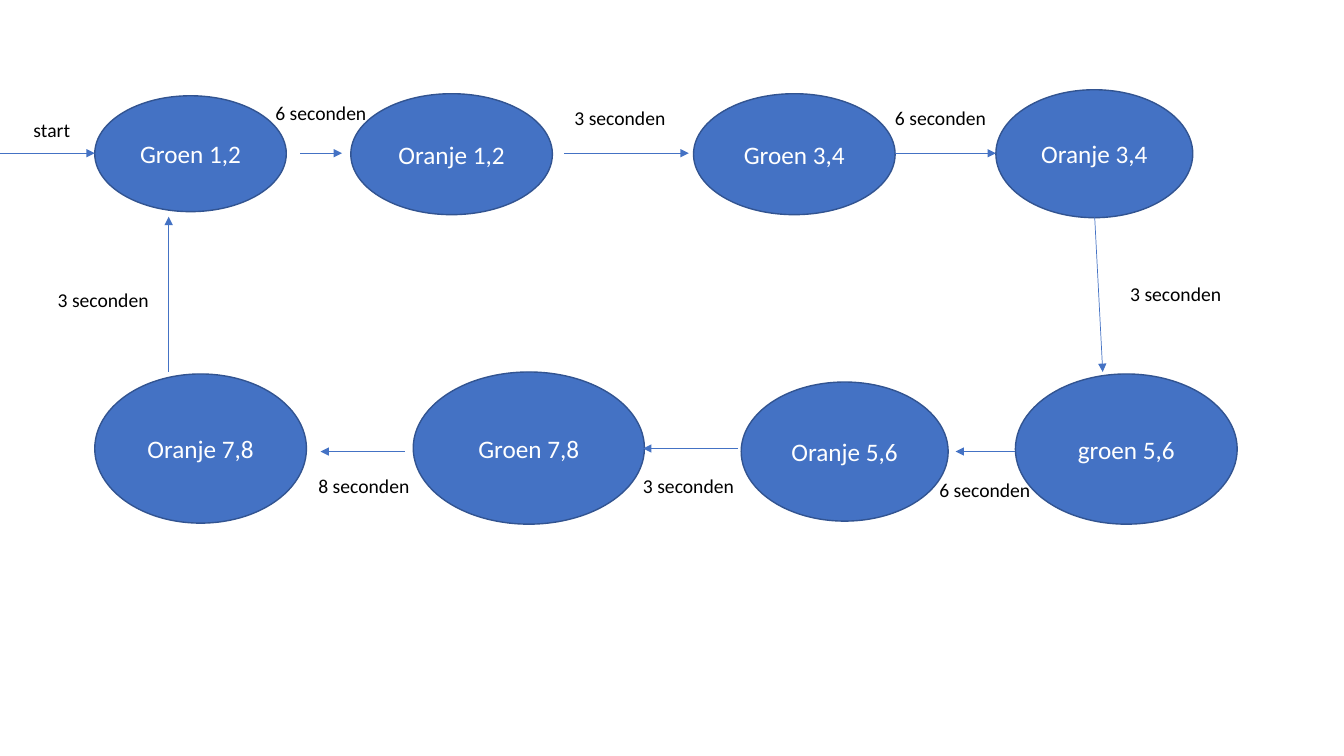
from lxml import etree
from pptx import Presentation
from pptx.dml.color import RGBColor
from pptx.enum.shapes import MSO_CONNECTOR, MSO_SHAPE
from pptx.enum.text import MSO_ANCHOR, MSO_AUTO_SIZE, PP_ALIGN
from pptx.oxml.ns import qn
from pptx.util import Inches, Pt

OVAL, STRAIGHT = MSO_SHAPE.OVAL, MSO_CONNECTOR.STRAIGHT
MIDDLE, GROW = MSO_ANCHOR.MIDDLE, MSO_AUTO_SIZE.SHAPE_TO_FIT_TEXT
CENTER, LEFT = PP_ALIGN.CENTER, PP_ALIGN.LEFT
BLUE = RGBColor(0x44, 0x72, 0xC4)
OUTLINE = RGBColor(0x32, 0x54, 0x91)
WHITE = RGBColor(0xFF, 0xFF, 0xFF)
BLACK = RGBColor(0x00, 0x00, 0x00)

prs = Presentation()
prs.slide_width, prs.slide_height = Inches(13.33), Inches(7.5)
s = prs.slides.add_slide(prs.slide_layouts[6])


def grid(*shares):
    """Turn alternating x and y percentages of the slide into lengths."""
    sides = (prs.slide_width, prs.slide_height)
    return [round(sides[i % 2] * share / 100) for i, share in enumerate(shares)]


def write(tf, text, size, color, align):
    p = tf.paragraphs[0]
    p.alignment = align
    r = p.add_run()
    r.text = text
    for name, value in {"name": "Calibri", "size": Pt(size)}.items():
        setattr(r.font, name, value)
    r.font.color.rgb = color


# Traffic light states: left, top, width, height
STATES = [
    ("Groen 1,2", 7.05, 12.67, 14.25, 15.33),
    ("Oranje 1,2", 26.1, 12.4, 15, 16),
    ("Groen 3,4", 51.6, 12.4, 15, 16),
    ("Oranje 3,4", 74.1, 11.87, 14.65, 16.93),
    ("Oranje 7,8", 7.05, 49.47, 15.75, 19.73),
    ("Groen 7,8", 30.75, 49.2, 17.2, 20.13),
    ("Oranje 5,6", 55.15, 50.53, 15.4, 18.4),
    ("groen 5,6", 75.55, 49.47, 16.5, 19.87),
]
for text, *box in STATES:
    sp = s.shapes.add_shape(OVAL, *grid(*box))
    sp.shadow.inherit = False
    sp.fill.solid()
    sp.fill.fore_color.rgb = BLUE
    sp.line.color.rgb = OUTLINE
    sp.line.width = Pt(1)
    sp.text_frame.vertical_anchor = MIDDLE
    write(sp.text_frame, text, 18, WHITE, CENTER)

# Transitions: from x, from y, to x, to y
TOP_ROW, BOTTOM_ROW = 20.27, 59.73
UPPER_EDGE, LOWER_EDGE = 28.67, 49.2
ARROWS = [
    (0, TOP_ROW, 7.05, TOP_ROW),
    (22.35, TOP_ROW, 25.45, TOP_ROW),
    (42, TOP_ROW, 51.25, TOP_ROW),
    (66.6, TOP_ROW, 74.1, TOP_ROW),
    (81.45, UPPER_EDGE, 82.05, LOWER_EDGE),
    (75.55, BOTTOM_ROW, 71.1, BOTTOM_ROW),
    (54.9, 59.33, 47.85, 59.33),
    (30.1, BOTTOM_ROW, 23.85, BOTTOM_ROW),
    (12.55, LOWER_EDGE, 12.55, UPPER_EDGE),
]
for ends in ARROWS:
    arrow = s.shapes.add_connector(STRAIGHT, *grid(*ends))
    arrow.line.color.rgb = BLUE
    arrow.line.width = Pt(0.5)
    etree.SubElement(arrow.line._get_or_add_ln(), qn("a:tailEnd"), type="triangle")
    etree.SubElement(arrow._element.spPr, qn("a:effectLst"))

# Transition labels: left, top, width, wrapped
LABEL_W, LABEL_H = 8.35, 4.53
LABELS = [
    ("start", 1.75, 14.93, 4.25, False),
    ("6 seconden", 19.75, 12.67, 12.15, True),
    ("3 seconden", 42, 13.33, 10.05, True),
    ("6 seconden", 65.85, 13.33, LABEL_W, False),
    ("3 seconden", 83.35, 36.67, LABEL_W, False),
    ("6 seconden", 69.15, 62.53, LABEL_W, False),
    ("3 seconden", 47.1, 62, LABEL_W, False),
    ("8 seconden", 22.95, 62, 13.7, True),
    ("3 seconden", 3.55, 37.47, LABEL_W, False),
]
for text, x, y, width, wrapped in LABELS:
    tf = s.shapes.add_textbox(*grid(x, y, width, LABEL_H)).text_frame
    for name, value in {"word_wrap": wrapped, "auto_size": GROW}.items():
        setattr(tf, name, value)
    write(tf, text, 14, BLACK, LEFT)

prs.save("out.pptx")
